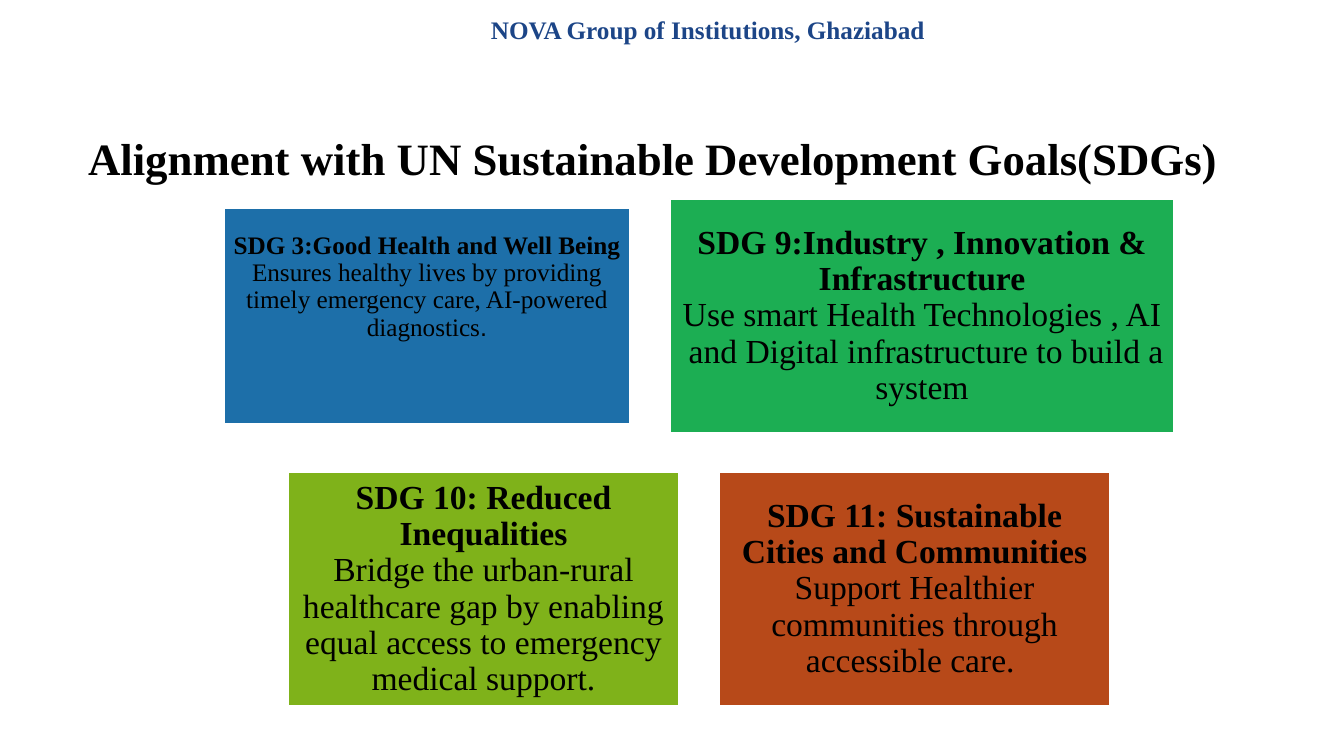
from dataclasses import dataclass

import pptx
import pptx.dml.color
import pptx.enum.shapes
import pptx.enum.text
import pptx.shapes.autoshape
import pptx.slide
import pptx.text.text
import pptx.util

EMU_PER_PX = 914400 / 100.8
SLIDE_WIDTH, SLIDE_HEIGHT = 1344, 756
ROWS_CENTER_X = 699
CARD_GAP = 40


@dataclass(frozen=True)
class Theme:
    serif: str = "Times New Roman"
    sans: str = "Arial"
    black: str = "000000"
    white: str = "FFFFFF"
    navy: str = "1C4587"
    blue: str = "1D6FA9"
    green: str = "1CAE53"
    lime: str = "7FB21A"
    rust: str = "B74919"
    title_size: int = 32
    large_size: int = 24
    small_size: int = 18


THEME = Theme()


@dataclass(frozen=True)
class Card:
    heading: str
    body: str
    fill: str
    width: int
    height: int = 234
    size: int = THEME.large_size
    inset: int = 10
    bottom_inset: int = 10
    sans_ending: str = ""


@dataclass(frozen=True)
class Row:
    center_y: int
    cards: tuple[Card, ...]


ROWS = (
    Row(316, (
        Card("SDG 3:Good Health and Well Being",
             "Ensures healthy lives by providing timely emergency care, AI-powered diagnostics",
             THEME.blue, 406, height=216, size=THEME.small_size,
             inset=7, bottom_inset=65, sans_ending="."),
        Card("SDG 9:Industry , Innovation & Infrastructure",
             "Use smart Health Technologies , AI  and Digital infrastructure to build a system",
             THEME.green, 504),
    )),
    Row(589, (
        Card("SDG 10: Reduced Inequalities",
             "Bridge the urban-rural healthcare gap by enabling equal access to emergency medical support.",
             THEME.lime, 391),
        Card("SDG 11: Sustainable Cities and Communities",
             "Support Healthier communities through accessible care. ",
             THEME.rust, 391),
    )),
)


def px(length: float) -> pptx.util.Emu:
    return pptx.util.Emu(round(length * EMU_PER_PX))


def rgb(color: str) -> pptx.dml.color.RGBColor:
    return pptx.dml.color.RGBColor.from_string(color)


def format_font(font: pptx.text.text.Font, size: int, color: str, bold: bool, name: str = THEME.serif) -> None:
    font.name = name
    font.size = pptx.util.Pt(size)
    font.bold = bold
    font.color.rgb = rgb(color)


def write_heading(shape: pptx.shapes.autoshape.Shape, text: str, size: int, color: str) -> None:
    frame = shape.text_frame
    frame.text = text
    frame.word_wrap = True
    frame.auto_size = pptx.enum.text.MSO_AUTO_SIZE.NONE
    frame.vertical_anchor = pptx.enum.text.MSO_ANCHOR.TOP
    paragraph = frame.paragraphs[0]
    paragraph.alignment = pptx.enum.text.PP_ALIGN.LEFT
    format_font(paragraph.runs[0].font, size, color, True)


def add_title(slide: pptx.slide.Slide) -> None:
    title = slide.shapes.title
    title.left, title.top, title.width, title.height = map(px, (78, 126, 1204, 54))
    write_heading(title, "Alignment with UN Sustainable Development Goals(SDGs)", THEME.title_size, THEME.black)


def add_institution(slide: pptx.slide.Slide) -> None:
    box = slide.shapes.add_textbox(*map(px, (481, 9, 476, 38)))
    write_heading(box, "NOVA Group of Institutions, Ghaziabad", THEME.small_size, THEME.navy)


def add_card(slide: pptx.slide.Slide, card: Card, left: float, center_y: int) -> None:
    shape = slide.shapes.add_shape(
        pptx.enum.shapes.MSO_SHAPE.RECTANGLE,
        px(left), px(center_y - card.height / 2), px(card.width), px(card.height))
    shape.shadow.inherit = False
    shape.fill.solid()
    shape.fill.fore_color.rgb = rgb(card.fill)
    shape.line.color.rgb = rgb(THEME.white)
    shape.line.width = pptx.util.Pt(1)

    frame = shape.text_frame
    frame.word_wrap = True
    frame.vertical_anchor = pptx.enum.text.MSO_ANCHOR.MIDDLE
    frame.margin_left = frame.margin_right = frame.margin_top = px(card.inset)
    frame.margin_bottom = px(card.bottom_inset)
    paragraph = frame.paragraphs[0]
    paragraph.text = f"{card.heading}\v{card.body}"
    paragraph.alignment = pptx.enum.text.PP_ALIGN.CENTER
    paragraph.line_spacing = 0.9
    heading, body = paragraph.runs
    format_font(heading.font, card.size, THEME.black, True)
    format_font(body.font, card.size, THEME.black, False)
    if card.sans_ending:
        ending = paragraph.add_run()
        ending.text = card.sans_ending
        format_font(ending.font, card.size, THEME.black, False, THEME.sans)


def add_row(slide: pptx.slide.Slide, row: Row) -> None:
    total_width = sum(card.width for card in row.cards) + CARD_GAP * (len(row.cards) - 1)
    left = ROWS_CENTER_X - total_width / 2
    for card in row.cards:
        add_card(slide, card, left, row.center_y)
        left += card.width + CARD_GAP


def main() -> None:
    presentation = pptx.Presentation()
    presentation.slide_width = px(SLIDE_WIDTH)
    presentation.slide_height = px(SLIDE_HEIGHT)
    slide = presentation.slides.add_slide(presentation.slide_layouts.get_by_name("Title Only"))
    add_title(slide)
    add_institution(slide)
    for row in ROWS:
        add_row(slide, row)
    presentation.save("out.pptx")


if __name__ == "__main__":
    main()
